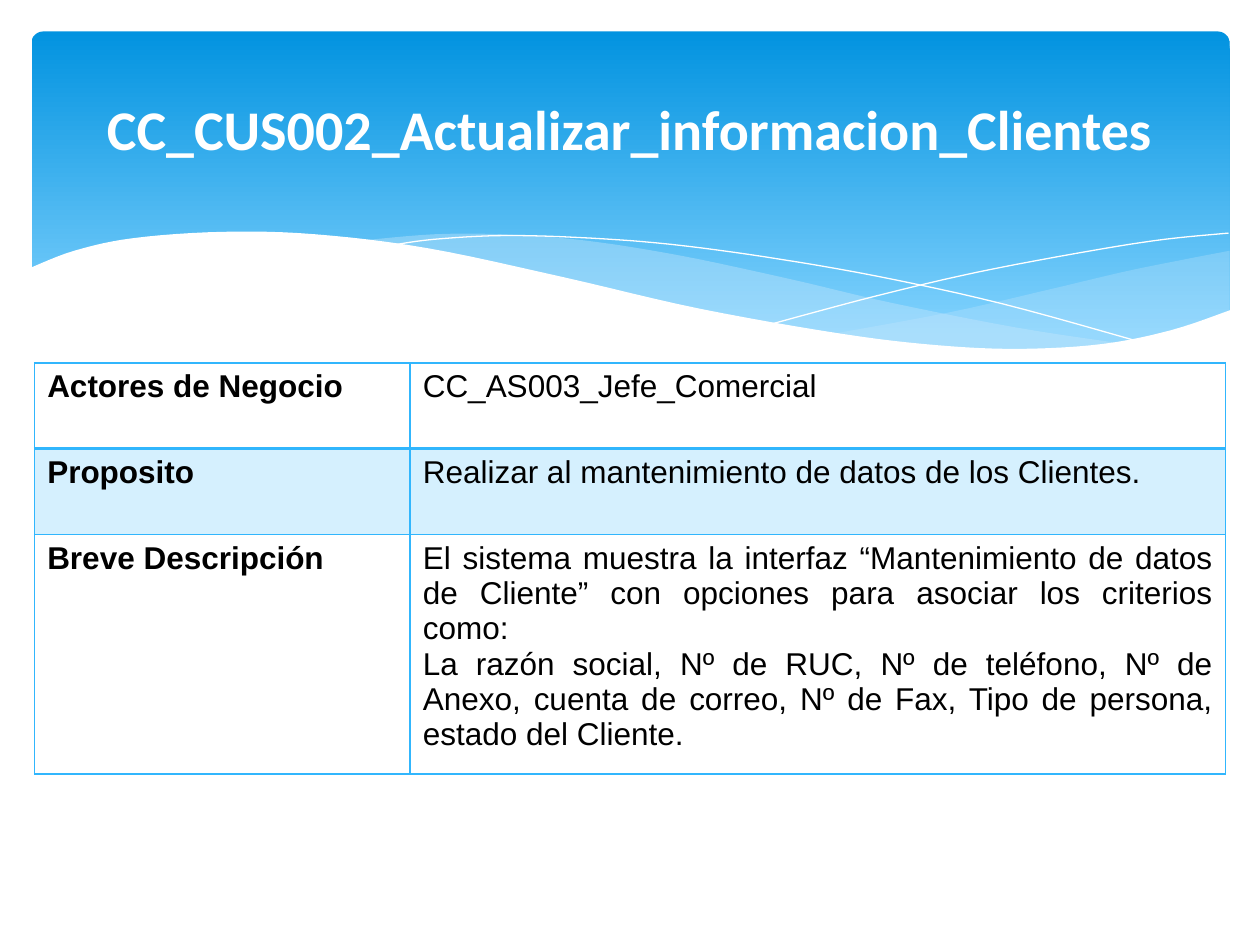
from dataclasses import dataclass
from lxml.etree import SubElement
from pptx import Presentation
from pptx.dml.color import RGBColor
from pptx.enum.shapes import MSO_SHAPE
from pptx.enum.text import MSO_ANCHOR, PP_ALIGN
from pptx.oxml.ns import qn
from pptx.util import Pt


@dataclass(frozen=True)
class Theme:
    white: str = "FFFFFF"
    black: str = "000000"
    deep: str = "0293E0"
    light: str = "83D3FE"
    mist: str = "C6E7FC"
    accent: str = "31B6FD"
    head_font: str = "Calibri"
    body_font: str = "Arial"
    head_size: int = 32
    body_size: int = 18


def curve(knots, steps=6):
    """Return points of a smooth (Catmull-Rom) curve through the knots."""
    ends = [knots[0], *knots, knots[-1]]
    points = [knots[0]]
    for a, b, c, d in zip(ends, ends[1:], ends[2:], ends[3:]):
        for step in range(1, steps + 1):
            t = step / steps
            points.append(tuple(
                (2 * q + (r - p) * t + (2 * p - 5 * q + 4 * r - s) * t ** 2
                 + (3 * q - p - 3 * r + s) * t ** 3) / 2
                for p, q, r, s in zip(a, b, c, d)))
    return points


class Painter:
    def __init__(self, slide, theme):
        self.slide = slide
        self.theme = theme

    def paint(self, fill, color, alpha=100):
        fill.solid()
        fill.fore_color.rgb = RGBColor.from_string(color)
        if alpha < 100:
            node = fill._xPr.find(f"{qn('a:solidFill')}/{qn('a:srgbClr')}")
            SubElement(node, qn("a:alpha"), val=str(alpha * 1000))

    def banner(self, left, top, width, height):
        shape = self.slide.shapes.add_shape(
            MSO_SHAPE.ROUNDED_RECTANGLE, Pt(left), Pt(top), Pt(width), Pt(height))
        shape.adjustments[0] = 0.034
        shape.shadow.inherit = False
        shape.line.fill.background()
        shape.fill.gradient()
        shape.fill.gradient_angle = 270
        stops = zip(shape.fill.gradient_stops,
                    (self.theme.deep, self.theme.light), (0, 0.9))
        for stop, color, place in stops:
            stop.color.rgb = RGBColor.from_string(color)
            stop.position = place

    def outline(self, points, close):
        spots = [(Pt(x), Pt(y)) for x, y in points]
        pen = self.slide.shapes.build_freeform(*spots[0])
        pen.add_line_segments(spots[1:], close=close)
        shape = pen.convert_to_shape()
        shape.shadow.inherit = False
        return shape

    def wave(self, points, color, alpha=100):
        shape = self.outline(points, True)
        self.paint(shape.fill, color, alpha)
        shape.line.fill.background()

    def thread(self, points):
        shape = self.outline(points, False)
        shape.fill.background()
        self.paint(shape.line.fill, self.theme.white)
        shape.line.width = Pt(0)

    def label(self, para, text, font, size, color, bold):
        run = para.add_run()
        run.text = text
        run.font.name = font
        run.font.size = Pt(size)
        run.font.bold = bold
        run.font.color.rgb = RGBColor.from_string(color)

    def title(self, text, left, top, width, height):
        frame = self.slide.shapes.add_textbox(
            Pt(left), Pt(top), Pt(width), Pt(height)).text_frame
        frame.word_wrap = True
        frame.vertical_anchor = MSO_ANCHOR.MIDDLE
        para = frame.paragraphs[0]
        para.alignment = PP_ALIGN.CENTER
        para.line_spacing = 0.9
        self.label(para, text, self.theme.head_font, self.theme.head_size,
                   self.theme.white, True)

    def border(self, cell, side, width):
        line = SubElement(cell._tc.get_or_add_tcPr(), qn(f"a:ln{side}"),
                          w=str(Pt(width)))
        fill = SubElement(line, qn("a:solidFill"))
        SubElement(fill, qn("a:srgbClr"), val=self.theme.accent)

    def table(self, rows, left, top, widths, heights):
        table = self.slide.shapes.add_table(
            len(rows), len(widths), Pt(left), Pt(top),
            Pt(sum(widths)), Pt(sum(heights))).table
        table.first_row = table.horz_banding = False
        for col, width in zip(table.columns, widths):
            col.width = Pt(width)
        for i, (row, height) in enumerate(zip(rows, heights)):
            table.rows[i].height = Pt(height)
            for j, texts in enumerate(row):
                self.cell(table.cell(i, j), texts, i, j == 0)

    def cell(self, cell, texts, row, bold):
        thick = {(0, "B"), (1, "T")}
        for side in "LRTB":
            self.border(cell, side, 2 if (row, side) in thick else 1)
        if row == 1:
            self.paint(cell.fill, self.theme.accent, 20)
        else:
            cell.fill.background()
        frame = cell.text_frame
        for k, text in enumerate(texts):
            para = frame.add_paragraph() if k else frame.paragraphs[0]
            if len(texts) > 1:
                para.alignment = PP_ALIGN.JUSTIFY
            self.label(para, text, self.theme.body_font, self.theme.body_size,
                       self.theme.black, bold)


RIGHT_TOP = [(702.7, 143.3), (673.2, 149), (641.5, 155.5), (599, 165.6),
             (542.2, 178.6), (475.9, 190.8)]
RIGHT_LOW = [(475.9, 190.8), (507.6, 195.1), (545, 198.7), (586, 200),
             (627.8, 197.3), (663, 190.8), (702.7, 177.8)]
MID_TOP = [(205.9, 137.5), (247.7, 133.9), (287.3, 133.9), (334.8, 137.5),
           (389.5, 146.2), (452.9, 159.8), (508.3, 172.8), (581, 187.2),
           (643, 196.6)]
MID_LOW = [(643, 196.6), (610.6, 199.4), (573.1, 200.2), (530, 198),
           (478.8, 191.5), (407.5, 178.6), (323.3, 159.8), (260.6, 146.2),
           (205.9, 137.5)]
FALLING = [(222.5, 140.4), (247.7, 136.8), (288.7, 134.6), (337.7, 136.1),
           (383.8, 139.7), (437.8, 146.9), (500.4, 157.7), (572.4, 173.5),
           (653, 195.8)]
RISING = [(441.4, 185), (500.4, 169.2), (558.7, 155.5), (623.5, 143.3),
          (665.3, 136.8), (702, 133.2)]
FRONT = [(16.6, 153.4), (42.5, 143.3), (76.3, 136.1), (127.4, 132.5),
         (180, 133.9), (244, 141.8), (321.8, 158.4), (399.6, 176.4),
         (481, 190.8), (535.7, 197.3), (582.5, 199.4), (630, 196.6),
         (669.6, 188.6), (703.4, 177.1)]
BASE = [(703.4, 236.9), (16.6, 236.9)]
ROWS = [
    (["Actores de Negocio"], ["CC_AS003_Jefe_Comercial"]),
    (["Proposito"], ["Realizar al mantenimiento de datos de los Clientes."]),
    (["Breve Descripción"], [
        "El sistema muestra la interfaz “Mantenimiento de datos de Cliente” "
        "con opciones para asociar los criterios como:",
        "La razón social, Nº de RUC, Nº de teléfono, Nº de Anexo, cuenta de "
        "correo, Nº de Fax, Tipo de persona, estado del Cliente."]),
]


def main():
    deck = Presentation()
    deck.slide_width, deck.slide_height = Pt(720), Pt(540)
    theme = Theme()
    art = Painter(deck.slides.add_slide(deck.slide_layouts[6]), theme)
    art.banner(18, 18, 684.6, 194.4)
    art.wave(curve(RIGHT_TOP) + curve(RIGHT_LOW), theme.mist, 29)
    art.wave(curve(MID_TOP) + curve(MID_LOW), theme.mist, 40)
    art.thread(curve(FALLING))
    art.thread(curve(RISING))
    art.wave(curve(FRONT) + BASE, theme.white)
    art.title("CC_CUS002_Actualizar_informacion_Clientes", 36, 26.6, 648, 98.6)
    art.table(ROWS, 19.8, 207.4, (214.6, 465.8), (49, 49, 128))
    deck.save("out.pptx")


if __name__ == "__main__":
    main()
